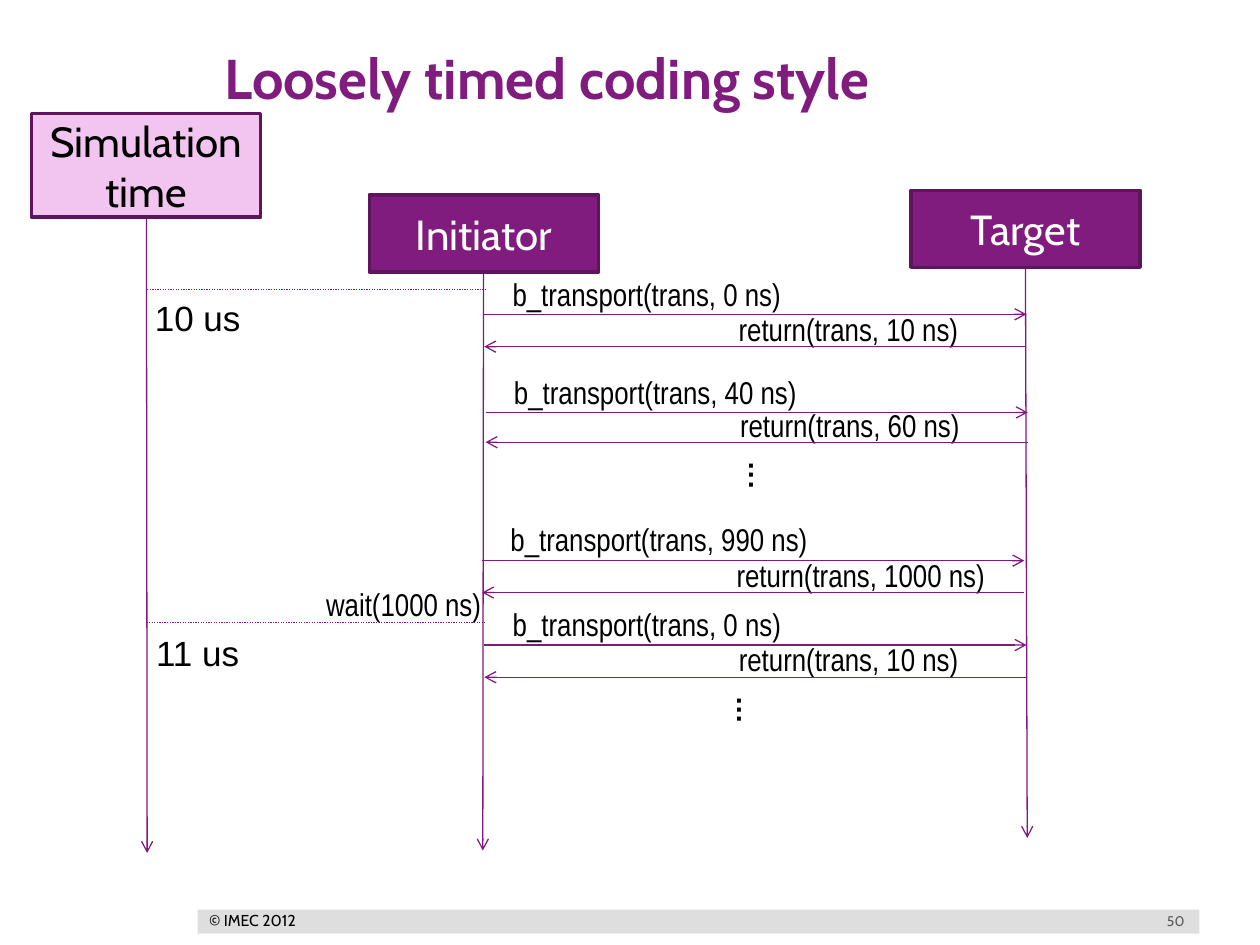
from dataclasses import dataclass
from typing import NamedTuple

from lxml import etree
from pptx import Presentation
from pptx.dml.color import RGBColor
from pptx.enum import dml, shapes, text
from pptx.oxml.ns import qn
from pptx.util import Pt


@dataclass(frozen=True)
class Theme:
    purple: str = "7F1C7D"
    border: str = "5E155C"
    arrow: str = "7F197D"
    pink: str = "F2C5F1"
    footer: str = "DDDEDD"
    gray: str = "58595B"
    black: str = "000000"
    white: str = "FFFFFF"
    heading_font: str = "Cabin"
    message_font: str = "Arial Narrow"
    time_font: str = "Arial"
    title_size: float = 32
    dots_size: float = 26
    box_size: float = 24
    time_size: float = 20
    message_size: float = 18
    copyright_size: float = 9
    number_size: float = 8
    box_line: float = 2
    arrow_line: float = 0.75


THEME = Theme()


class Box(NamedTuple):
    left: float
    top: float
    width: float
    height: float


class Point(NamedTuple):
    x: float
    y: float


class Participant(NamedTuple):
    name: str
    box: Box
    fill: str
    color: str
    start: Point
    end: Point


class Exchange(NamedTuple):
    """One call from initiator to target, and its return."""
    left: float
    call_delay: str
    call_top: float
    call_line: float
    return_delay: str
    return_top: float
    return_line: float


class TimeMark(NamedTuple):
    label: str
    box: Box
    line_left: float
    line_y: float


PARTICIPANTS = [
    Participant("Initiator", Box(211, 111.4, 131, 44), THEME.purple, THEME.white,
                Point(276.3, 155), Point(275.9, 486)),
    Participant("Target", Box(520.6, 108.8, 131, 44), THEME.purple, THEME.white,
                Point(586, 152.5), Point(587, 478.8)),
    Participant("Simulation time", Box(18, 65, 131, 59.2), THEME.pink, THEME.black,
                Point(83.7, 124.5), Point(84.1, 487.4)),
]
EXCHANGES = [
    Exchange(276.7, "0 ns", 153.4, 179.6, "10 ns", 173.5, 198.1),
    Exchange(277.5, "40 ns", 209.5, 235.7, "60 ns", 228.2, 252.7),
    Exchange(275.5, "990 ns", 293.8, 320.4, "1000 ns", 313.9, 338.6),
    Exchange(276.8, "0 ns", 342, 368.6, "10 ns", 362.2, 387),
]
TIME_MARKS = [
    TimeMark("10 us", Box(81.4, 165.6, 64, 31.5), 84.1, 165.5),
    TimeMark("11 us", Box(82.1, 357.1, 64, 31.5), 83.7, 355.7),
]
DOTS = [Box(418.3, 257, 39.6, 38.9), Box(411.8, 391, 39.6, 38.9)]
CALL_INDENT, RETURN_INDENT, MESSAGE_SPAN = 9.1, 138.3, 309.8
MESSAGE_HEIGHT = 29


def write(shape, content: str, *, size: float, font: str = THEME.heading_font,
          color: str = THEME.black, bold: bool = False,
          align=text.PP_ALIGN.LEFT, anchor=text.MSO_ANCHOR.TOP,
          wrap: bool = True, insets=(7.2, 3.6, 7.2, 3.6)) -> None:
    frame = shape.text_frame
    frame.word_wrap = wrap
    frame.vertical_anchor = anchor
    frame.margin_left, frame.margin_top, frame.margin_right, frame.margin_bottom = map(Pt, insets)
    paragraph = frame.paragraphs[0]
    paragraph.alignment = align
    run = paragraph.add_run()
    run.text = content
    run.font.name = font
    run.font.size = Pt(size)
    run.font.bold = bold
    run.font.color.rgb = RGBColor.from_string(color)


def add_text(slide, box: Box, content: str, *, rotation: float = 0, **text_format):
    shape = slide.shapes.add_textbox(*map(Pt, box))
    shape.rotation = rotation
    write(shape, content, **text_format)
    return shape


def add_rectangle(slide, box: Box, fill: str, border: str | None = None):
    shape = slide.shapes.add_shape(shapes.MSO_SHAPE.RECTANGLE, *map(Pt, box))
    shape.shadow.inherit = False
    shape.fill.solid()
    shape.fill.fore_color.rgb = RGBColor.from_string(fill)
    if border:
        shape.line.color.rgb = RGBColor.from_string(border)
        shape.line.width = Pt(THEME.box_line)
    else:
        shape.line.fill.background()
    return shape


def add_line(slide, start: Point, end: Point, *, arrow: bool = True) -> None:
    """Draw an arrow towards end, or a dotted line without a head."""
    connector = slide.shapes.add_connector(
        shapes.MSO_CONNECTOR.STRAIGHT, *map(Pt, (*start, *end)))
    connector.line.color.rgb = RGBColor.from_string(THEME.arrow)
    connector.line.width = Pt(THEME.arrow_line)
    if arrow:
        etree.SubElement(connector.line._get_or_add_ln(), qn("a:tailEnd"), type="arrow")
    else:
        connector.line.dash_style = dml.MSO_LINE.ROUND_DOT
    etree.SubElement(connector._element.spPr, qn("a:effectLst"))


def add_message(slide, left: float, top: float, width: float, content: str) -> None:
    add_text(slide, Box(left, top, width, MESSAGE_HEIGHT), content,
             font=THEME.message_font, size=THEME.message_size)


def add_participant(slide, item: Participant) -> None:
    add_line(slide, item.start, item.end)
    shape = add_rectangle(slide, item.box, item.fill, THEME.border)
    write(shape, item.name, size=THEME.box_size, color=item.color,
          align=text.PP_ALIGN.CENTER, anchor=text.MSO_ANCHOR.MIDDLE)


def add_exchange(slide, item: Exchange) -> None:
    right = item.left + MESSAGE_SPAN
    add_message(slide, item.left + CALL_INDENT, item.call_top, 315.4,
                f"b_transport(trans, {item.call_delay})")
    add_line(slide, Point(item.left, item.call_line), Point(right, item.call_line))
    add_message(slide, item.left + RETURN_INDENT, item.return_top, 170,
                f"return(trans, {item.return_delay})")
    add_line(slide, Point(right, item.return_line), Point(item.left, item.return_line))


def add_time_mark(slide, item: TimeMark) -> None:
    add_text(slide, item.box, item.label, font=THEME.time_font,
             size=THEME.time_size, wrap=False)
    add_line(slide, Point(item.line_left, item.line_y),
             Point(item.line_left + 193.7, item.line_y), arrow=False)


def main() -> None:
    presentation = Presentation()
    presentation.slide_width, presentation.slide_height = Pt(720), Pt(540)
    slide = presentation.slides.add_slide(presentation.slide_layouts[6])

    # Footer
    add_rectangle(slide, Box(113, 519.8, 572.4, 13.7), THEME.footer)
    add_text(slide, Box(645, 519.1, 39, 13.7), "50", size=THEME.number_size,
             color=THEME.gray, align=text.PP_ALIGN.RIGHT, anchor=text.MSO_ANCHOR.MIDDLE)
    add_text(slide, Box(119.5, 520.6, 50.4, 10.8), "© IMEC 2012",
             size=THEME.copyright_size, anchor=text.MSO_ANCHOR.MIDDLE,
             wrap=False, insets=(0, 0, 0, 0))

    # Title
    add_text(slide, Box(113.8, 21.6, 570.2, 76.3), "Loosely timed coding style",
             size=THEME.title_size, color=THEME.purple, bold=True,
             insets=(14.4, 3.6, 7.2, 3.6))

    # Sequence diagram
    for participant in PARTICIPANTS:
        add_participant(slide, participant)
    for mark in TIME_MARKS:
        add_time_mark(slide, mark)
    add_message(slide, 179.3, 330.5, 113, "wait(1000 ns)")
    for exchange in EXCHANGES:
        add_exchange(slide, exchange)
    for box in DOTS:
        add_text(slide, box, "...", size=THEME.dots_size, rotation=90)

    presentation.save("out.pptx")


if __name__ == "__main__":
    main()
